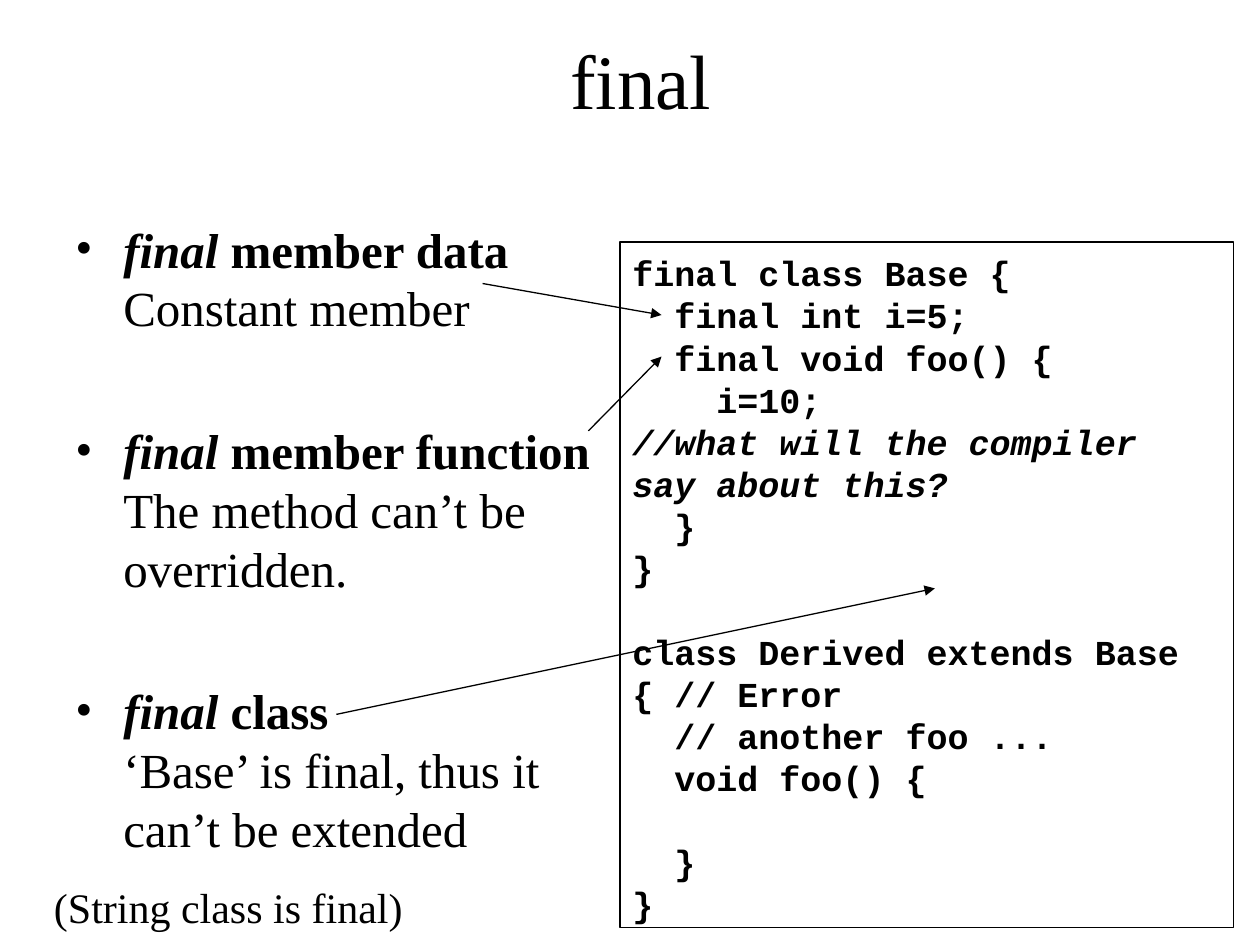
"""Build a slide that explains the final keyword beside a code sample."""
from lxml.etree import SubElement
from pptx import Presentation
from pptx.dml.color import RGBColor
from pptx.enum.shapes import MSO_CONNECTOR as Connector, MSO_SHAPE as Shape
from pptx.enum.text import MSO_ANCHOR as Anchor, PP_ALIGN as Align
from pptx.oxml.ns import qn
from pptx.util import Inches, Pt

SERIF, MONO = "Times New Roman", "Courier New"
BLACK = "000000"
LINE_HEIGHT = 1.2

TITLE = "final"
POINTS = [
    (" member data", "Constant member"),
    (" member function", "The method can’t be\voverridden."),
    (" class", "‘Base’ is final, thus it can’t be extended"),
]
BASE_CODE = [
    "final class Base {",
    "  final int i=5;",
    "  final void foo() {",
    "    i=10;",
    "//what will the compiler say about this?",
    "  }",
    "}",
]
DERIVED_CODE = [
    "class Derived extends Base { // Error",
    "  // another foo ...",
    "  void foo() {",
]
CLOSING_CODE = ["  }", "}"]
FOOTNOTE = "(String class is final)"
ARROWS = [
    ((3.83, 2.25), (5.25, 2.5)),
    ((4.67, 3.42), (5.25, 2.83)),
    ((2.67, 5.67), (7.42, 4.67)),
]


def color(value):
    return RGBColor.from_string(value)


def place(shape, left, top, width, height):
    shape.left, shape.top = Inches(left), Inches(top)
    shape.width, shape.height = Inches(width), Inches(height)


def add_text(para, text, size=20, font=SERIF, bold=False, italic=False):
    for index, part in enumerate(text.split("\v")):
        if index:
            para.add_line_break()
        span = para.add_run()
        span.text = part
        span.font.size, span.font.name = Pt(size), font
        span.font.bold, span.font.italic = bold, italic
        span.font.color.rgb = color(BLACK)


def next_paragraph(frame, index):
    return frame.add_paragraph() if index else frame.paragraphs[0]


def add_bullet(para, indent):
    properties = para._p.get_or_add_pPr()
    properties.set("marL", str(Inches(indent)))
    properties.set("indent", str(-Inches(indent)))
    SubElement(properties, qn("a:buFont"), typeface=SERIF)
    SubElement(properties, qn("a:buChar"), char="•")


def add_text_box(page, left, top, width, height):
    box = page.shapes.add_textbox(
        Inches(left), Inches(top), Inches(width), Inches(height))
    box.text_frame.word_wrap = True
    return box.text_frame


def add_title(page):
    title = page.shapes.title
    place(title, 1.67, 0.25, 6.83, 0.75)
    title.text_frame.vertical_anchor = Anchor.MIDDLE
    para = title.text_frame.paragraphs[0]
    para.alignment = Align.CENTER
    add_text(para, TITLE, size=44)


def add_points(page, size=28):
    frame = add_text_box(page, 0.5, 1.69, 4.58, 5.2)
    for index, (term, meaning) in enumerate(POINTS):
        para = next_paragraph(frame, index)
        para.line_spacing = Pt(size * LINE_HEIGHT)
        para.space_before = Pt(48 if index else 0)
        add_bullet(para, 0.38)
        add_text(para, "final", size=size, bold=True, italic=True)
        add_text(para, term, size=size, bold=True)
        para.add_line_break()
        add_text(para, meaning, size=size)


def add_code(page, size=20):
    box = page.shapes.add_shape(Shape.RECTANGLE, 0, 0, 0, 0)
    place(box, 4.92, 1.92, 4.87, 5.44)
    box.shadow.inherit = False
    box.fill.background()
    box.line.color.rgb, box.line.width = color(BLACK), Pt(0.75)
    frame = box.text_frame
    frame.word_wrap, frame.vertical_anchor = True, Anchor.TOP
    frame.margin_top, frame.margin_bottom = Inches(0.08), Inches(0)
    gap_before = {len(BASE_CODE), len(BASE_CODE + DERIVED_CODE)}
    for index, line in enumerate(BASE_CODE + DERIVED_CODE + CLOSING_CODE):
        para = next_paragraph(frame, index)
        para.alignment = Align.LEFT
        para.line_spacing = Pt(size * LINE_HEIGHT)
        para.space_before = Pt(size * LINE_HEIGHT if index in gap_before else 0)
        add_text(para, line, size=size, font=MONO, bold=True,
                 italic=line.startswith("//"))


def add_arrow(page, start, end):
    arrow = page.shapes.add_connector(
        Connector.STRAIGHT, *(Inches(value) for value in start + end))
    arrow.line.color.rgb, arrow.line.width = color(BLACK), Pt(0.75)
    SubElement(arrow.line._get_or_add_ln(), qn("a:tailEnd"), type="triangle")
    SubElement(arrow._element.spPr, qn("a:effectLst"))


def main():
    deck = Presentation()
    deck.slide_width, deck.slide_height = Inches(10), Inches(7.5)
    page = deck.slides.add_slide(deck.slide_layouts[5])
    add_title(page)
    add_points(page)
    add_code(page)
    for start, end in ARROWS:
        add_arrow(page, start, end)
    footnote = add_text_box(page, 0.33, 6.95, 4.42, 0.5)
    add_text(footnote.paragraphs[0], FOOTNOTE, size=24)
    deck.save("out.pptx")


if __name__ == "__main__":
    main()
